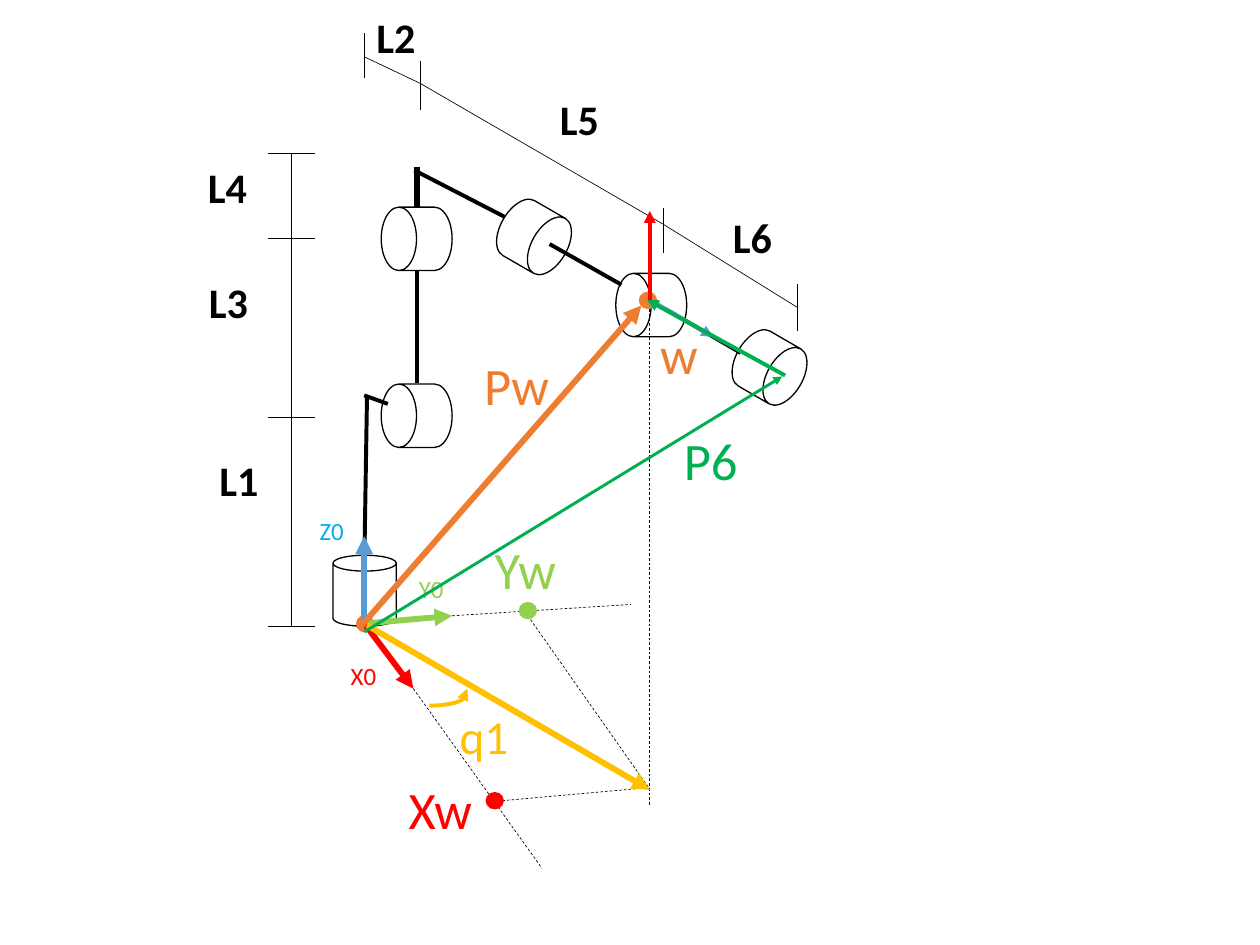
from pptx import Presentation
from pptx.dml.color import RGBColor as Rgb
from pptx.enum.dml import MSO_LINE_DASH_STYLE as Dash
from pptx.enum.shapes import MSO_CONNECTOR as Link, MSO_SHAPE as Form
from pptx.enum.text import MSO_AUTO_SIZE as Fit
from pptx.oxml import parse_xml
from pptx.oxml.ns import nsdecls
from pptx.util import Inches, Pt


class Theme:
    font = "Calibri"
    black, white = "000000", "FFFFFF"
    red, lime, green = "FF0000", "92D050", "00B050"
    gold, amber = "FFC000", "ED7D31"
    blue, sky = "5B9BD5", "00B0F0"
    tiny, angle, dim, big = 18.9, 36, 32, 40
    hair, edge, ray, rod, bold = 0.5, 1, 2.25, 3, 4.5


deck = Presentation()
deck.slide_width, deck.slide_height = Inches(13.32), Inches(9.99)
slide = deck.slides.add_slide(deck.slide_layouts[6])
shapes = slide.shapes
cols, rows = 1332, 999
col, row = deck.slide_width / cols, deck.slide_height / rows


def draw(start, end, color, width, head=False, dash=False, kind=Link.STRAIGHT):
    line = shapes.add_connector(
        kind, *(round(v * u) for v, u in zip(start + end, (col, row, col, row))))
    line.line.color.rgb = Rgb.from_string(color)
    line.line.width = Pt(width)
    if dash:
        line.line.dash_style = Dash.DASH
    if head:
        line.line._get_or_add_ln().append(
            parse_xml(f'<a:tailEnd {nsdecls("a")} type="triangle"/>'))
    line._element.spPr.append(parse_xml(f'<a:effectLst {nsdecls("a")}/>'))
    return line


def place(form, left, top, wide, high, fill, edge):
    shape = shapes.add_shape(form, round(left * col), round(top * row),
                             round(wide * col), round(high * row))
    shape.shadow.inherit = False
    shape.fill.solid()
    shape.fill.fore_color.rgb = Rgb.from_string(fill)
    shape.line.color.rgb = Rgb.from_string(edge)
    shape.line.width = Pt(Theme.edge)
    return shape


joints = [(352, 587, 0), (407, 402, 270), (407, 215, 270),
          (531, 213, 120), (655, 285, 270), (780, 351, 120)]
for left, top, turn in joints:
    can = place(Form.CAN, left, top, 67, 75, Theme.white, Theme.black)
    can.rotation = turn
    if turn:
        can.adjustments[0] = 0.557

rods = [((441, 405), (441, 286)), ((533, 229), (438, 180)),
        ((657, 301), (581, 258)), ((783, 373), (704, 327)),
        ((385, 604), (388, 418)), ((385, 418), (410, 427))]
for start, end in rods:
    draw(start, end, Theme.black, Theme.rod)
draw((441, 219), (441, 177), Theme.black, Theme.bold)

levels = [162, 252, 441, 662]
for level in levels:
    draw((283, level), (333, level), Theme.black, Theme.hair)
for upper, lower in zip(levels, levels[1:]):
    draw((308, upper), (308, lower), Theme.black, Theme.hair)

ticks = [(385, 35, 82), (444, 64, 100), (444, 69, 116),
         (701, 220, 267), (843, 300, 350)]
for x, upper, lower in ticks:
    draw((x, upper), (x, lower), Theme.black, Theme.hair)
chain = [(385, 60), (444, 88), (701, 237), (843, 325)]
for start, end in zip(chain, chain[1:]):
    draw(start, end, Theme.black, Theme.hair)

guides = [((686, 322), (686, 851)), ((478, 651), (667, 639)),
          ((437, 728), (573, 918)), ((682, 833), (525, 847)),
          ((558, 651), (686, 833))]
for start, end in guides:
    draw(start, end, Theme.black, Theme.hair, dash=True)

dots = [(676, 309, Theme.amber), (377, 651, Theme.amber),
        (514, 838, Theme.red), (549, 637, Theme.lime)]
for left, top, color in dots:
    place(Form.OVAL, left, top, 18, 17, color, color)

labels = [
    ("L1", 222, 476, 62, Theme.dim, Theme.black),
    ("L2", 388, 7, 66, Theme.dim, Theme.black),
    ("L3", 211, 287, 62, Theme.dim, Theme.black),
    ("L4", 210, 166, 62, Theme.dim, Theme.black),
    ("L5", 582, 94, 62, Theme.dim, Theme.black),
    ("L6", 765, 219, 62, Theme.dim, Theme.black),
    ("w", 688, 336, 60, Theme.big, Theme.amber),
    ("Pw", 502, 368, 89, Theme.big, Theme.amber),
    ("P6", 713, 447, 78, Theme.big, Theme.green),
    ("Yw", 513, 563, 86, Theme.big, Theme.lime),
    ("Xw", 422, 817, 88, Theme.big, Theme.red),
    ("q1", 476, 743, 72, Theme.angle, Theme.gold),
    ("X0", 361, 694, 47, Theme.tiny, Theme.red),
    ("Y0", 433, 602, 47, Theme.tiny, Theme.lime),
    ("Z0", 328, 540, 46, Theme.tiny, Theme.sky),
]
highs = {Theme.dim: 64, Theme.big: 77, Theme.angle: 71, Theme.tiny: 42}
for text, left, top, wide, size, color in labels:
    box = shapes.add_textbox(round(left * col), round(top * row),
                             round(wide * col), round(highs[size] * row))
    frame = box.text_frame
    frame.text = text
    frame.word_wrap = text in ("L2", "L3", "L5", "L6")
    frame.auto_size = Fit.SHAPE_TO_FIT_TEXT
    font = frame.paragraphs[0].runs[0].font
    font.name, font.size = Theme.font, Pt(size)
    font.bold = size == Theme.dim
    font.color.rgb = Rgb.from_string(color)

arrows = [
    ((687, 317), (754, 356), Theme.blue, Theme.rod),
    ((687, 319), (687, 223), Theme.red, Theme.rod),
    ((385, 660), (385, 567), Theme.blue, Theme.bold),
    ((385, 659), (437, 728), Theme.red, Theme.bold),
    ((388, 659), (478, 651), Theme.lime, Theme.bold),
    ((388, 661), (687, 835), Theme.gold, Theme.bold),
    ((379, 665), (678, 323), Theme.amber, Theme.bold),
    ((385, 668), (827, 398), Theme.green, Theme.ray),
    ((830, 397), (684, 317), Theme.green, Theme.rod),
]
for start, end, color, width in arrows:
    draw(start, end, color, width, head=True)

arc = draw((454, 746), (494, 728), Theme.gold, Theme.rod, head=True, kind=Link.CURVE)
arc._element.spPr.prstGeom.get_or_add_avLst().append(
    parse_xml(f'<a:gd {nsdecls("a")} name="adj1" fmla="val 91800"/>'))

deck.save("out.pptx")
